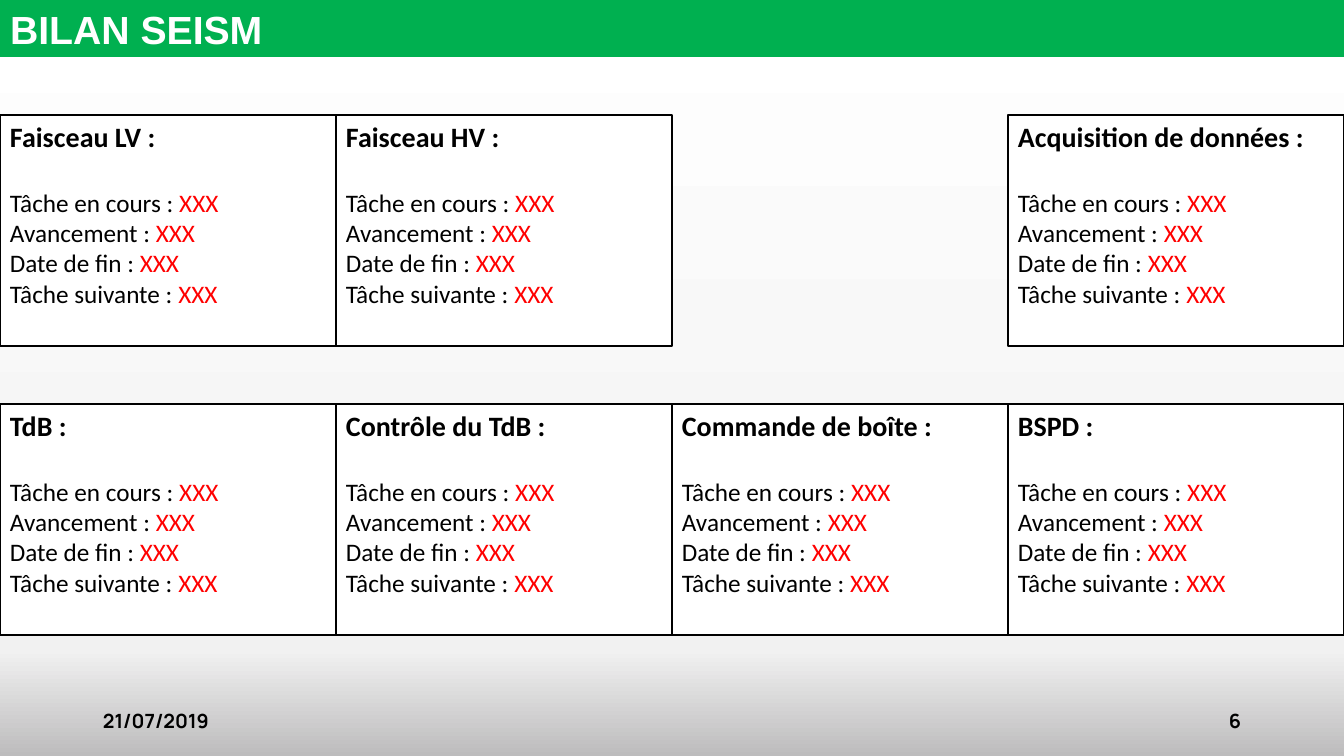
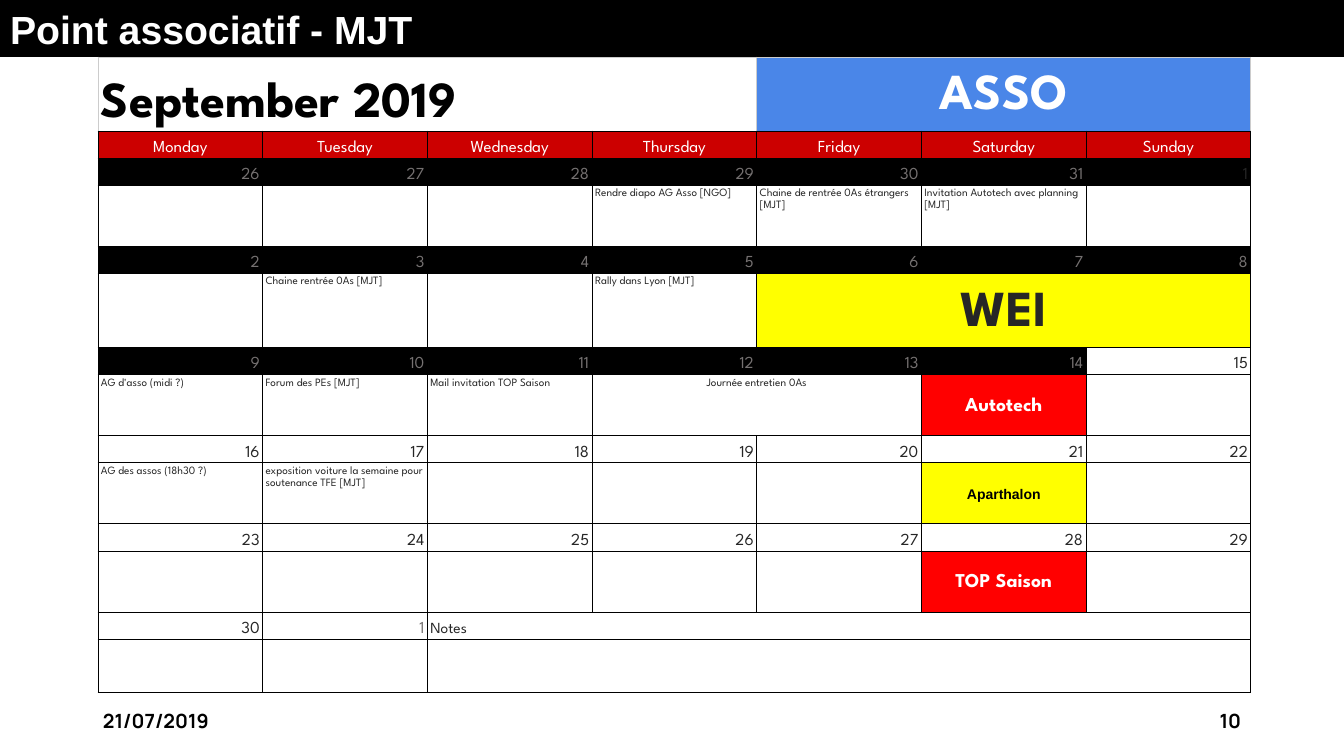
"""Build the project status slide and the association calendar slide."""
import copy

import pptx
import pptx.dml.color
import pptx.enum.shapes
import pptx.enum.text
import pptx.oxml
import pptx.oxml.ns
import pptx.util

SCALE = 914400 / 100.8
WIDE, HIGH = 1344, 756
HUES = {
    "black": "000000", "white": "FFFFFF", "red": "FF0000", "green": "00B050",
    "blue": "4A86E8", "yellow": "FFFF00", "brick": "CC0000", "gray": "757171",
    "ink": "262626", "rule": "CCCCCC", "mist": "F1F1F1", "steel": "BDBCBD",
}
ALIGN = {
    "left": pptx.enum.text.PP_ALIGN.LEFT,
    "center": pptx.enum.text.PP_ALIGN.CENTER,
    "right": pptx.enum.text.PP_ALIGN.RIGHT,
}
ANCHOR = {
    "top": pptx.enum.text.MSO_ANCHOR.TOP,
    "middle": pptx.enum.text.MSO_ANCHOR.MIDDLE,
    "bottom": pptx.enum.text.MSO_ANCHOR.BOTTOM,
}
TASKS = ("Tâche en cours : ", "Avancement : ", "Date de fin : ", "Tâche suivante : ")
CARDS = (
    ("Faisceau LV :", "Faisceau HV :", None, "Acquisition de données :"),
    ("TdB :", "Contrôle du TdB :", "Commande de boîte :", "BSPD :"),
)
DAYS = ("Monday", "Tuesday", "Wednesday", "Thursday", "Friday", "Saturday", "Sunday")
ROWS = (74, 27, 27, 61, 27, 74, 27, 61, 27, 61, 27, 61, 27, 53)
SPANS = {(0, 0): 4, (0, 4): 3, (5, 4): 3, (7, 3): 2, (12, 2): 5, (13, 2): 5}
NOTES = {
    (3, 3): "Rendre diapo AG Asso [NGO]",
    (3, 4): "Chaine de rentrée 0As étrangers [MJT]",
    (3, 5): "Invitation Autotech avec planning [MJT]",
    (5, 1): "Chaine rentrée 0As [MJT]",
    (5, 3): "Rally dans Lyon [MJT]",
    (7, 0): "AG d'asso (midi ?)",
    (7, 1): "Forum des PEs [MJT]",
    (7, 2): "Mail invitation TOP Saison",
    (9, 0): "AG des assos (18h30 ?)",
    (9, 1): "exposition voiture la semaine pour soutenance TFE [MJT]",
}
EVENTS = {
    (0, 4): ("ASSO", "blue", {"size": 36, "hue": "white"}),
    (5, 4): ("WEI", "yellow", {"size": 36, "hue": "ink"}),
    (7, 5): ("Autotech", "red", {"size": 14, "hue": "white"}),
    (9, 5): ("Aparthalon", "yellow", {"size": 10, "hue": "black", "font": "Arial"}),
    (11, 5): ("TOP Saison", "red", {"size": 14, "hue": "white"}),
}


def px(count):
    """Turn pixels into EMU."""
    return pptx.util.Emu(round(count * SCALE))


def tint(name):
    """Return a named colour."""
    return pptx.dml.color.RGBColor.from_string(HUES[name])


def paint(item, name):
    """Fill an item with a named colour."""
    item.fill.solid()
    item.fill.fore_color.rgb = tint(name)


def write(para, text, font="League Spartan", size=12, hue="black", bold=False,
          align="left", lead=None):
    """Add a formatted run to a paragraph."""
    para.alignment = ALIGN[align]
    if lead:
        para.line_spacing = lead
    run = para.add_run()
    run.text = text
    run.font.name = font
    run.font.size = pptx.util.Pt(size)
    run.font.bold = bold
    run.font.color.rgb = tint(hue)


def label(slide, left, text, align):
    """Add one footer text box."""
    box = slide.shapes.add_textbox(px(left), px(701), px(302), px(40))
    frame = box.text_frame
    frame.word_wrap = True
    frame.vertical_anchor = ANCHOR["middle"]
    write(frame.paragraphs[0], text, font="Manrope", size=14, bold=True, align=align)


def start(deck, title, band, page):
    """Add a slide with its title band and footer."""
    slide = deck.slides.add_slide(deck.slide_layouts[5])
    head = slide.shapes.title
    head.left, head.top, head.width, head.height = px(0), px(0), px(WIDE), px(57)
    paint(head, band)
    frame = head.text_frame
    frame.auto_size = pptx.enum.text.MSO_AUTO_SIZE.NONE
    frame.vertical_anchor = ANCHOR["top"]
    write(frame.paragraphs[0], title, font="Arial", size=28, hue="white", bold=True)
    label(slide, 93, "21/07/2019", "left")
    label(slide, 949, page, "right")
    return slide


def fade(slide):
    """Give the slide a vertical gradient background."""
    fill = slide.background.fill
    fill.gradient()
    fill.gradient_angle = 270
    stops = slide.element.find(".//" + pptx.oxml.ns.qn("a:gsLst"))
    stops.append(copy.deepcopy(stops[-1]))
    shades = (("white", 0), ("mist", 0.86), ("steel", 1))
    for stop, (hue, place) in zip(fill.gradient_stops, shades):
        stop.color.rgb = tint(hue)
        stop.position = place


def card(slide, left, top, name):
    """Add one status card."""
    kind = pptx.enum.shapes.MSO_SHAPE.RECTANGLE
    box = slide.shapes.add_shape(kind, px(left), px(top), px(WIDE // 4), px(231))
    box.shadow.inherit = False
    paint(box, "white")
    box.line.color.rgb = tint("black")
    box.line.width = pptx.util.Pt(2)
    frame = box.text_frame
    frame.word_wrap = True
    frame.vertical_anchor = ANCHOR["top"]
    write(frame.paragraphs[0], name, font="Calibri", size=20, bold=True)
    for task in TASKS:
        para = frame.add_paragraph()
        if task == TASKS[0]:
            para.space_before = pptx.util.Pt(24)
        write(para, task, font="Calibri", size=18)
        write(para, "XXX", font="Calibri", size=18, hue="red")


def edge(cell, hues):
    """Draw the left, right, top and bottom borders of a cell."""
    props = cell._tc.get_or_add_tcPr()
    for spot, (side, hue) in enumerate(zip("LRTB", hues)):
        line = pptx.oxml.parse_xml(
            f'<a:ln{side} {pptx.oxml.ns.nsdecls("a")} w="9525"><a:solidFill>'
            f'<a:srgbClr val="{HUES[hue]}"/></a:solidFill></a:ln{side}>')
        props.insert(spot, line)


def grid(slide):
    """Add the empty calendar table."""
    width = px(1153)
    frame = slide.shapes.add_table(len(ROWS), len(DAYS), px(98), px(57), width, px(sum(ROWS)))
    table = frame.table
    table.first_row = table.horz_banding = False
    for col in table.columns:
        col.width = width // len(DAYS)
    for num, high in enumerate(ROWS):
        table.rows[num].height = px(high)
        for cell in table.rows[num].cells:
            cell.margin_left = cell.margin_right = px(3)
            cell.margin_top = cell.margin_bottom = px(2)
            cell.fill.background()
            edge(cell, ["black"] * 4 if num else ["rule"] * 3 + ["black"])
            end = cell.text_frame.paragraphs[0]._p.get_or_add_endParaRPr()
            end.set("sz", "800")
    for (row, col), span in SPANS.items():
        table.cell(row, col).merge(table.cell(row, col + span - 1))
    return table


def put(table, spot, text, fill=None, anchor="bottom", **style):
    """Write text in a calendar cell."""
    cell = table.cell(*spot)
    cell.vertical_anchor = ANCHOR[anchor]
    if fill:
        paint(cell, fill)
    write(cell.text_frame.paragraphs[0], text, lead=1.15, **style)


def dates(table):
    """Number the days and darken those already past."""
    for step in range(37):
        week, col = divmod(step, 7)
        day = step - 5
        past = day < 15
        text = (day - 1) % 30 + 1 if day > 0 else day + 31
        hue = "gray" if (past and day != 1) or day > 30 else "ink"
        put(table, (2 + 2 * week, col), str(text), fill="black" if past else None,
            hue=hue, align="right")


def month(slide):
    """Fill the calendar."""
    table = grid(slide)
    put(table, (0, 0), "September 2019", size=36, bold=True)
    for col, day in enumerate(DAYS):
        put(table, (1, col), day, fill="brick", hue="white", align="center")
    dates(table)
    for spot, text in NOTES.items():
        put(table, spot, text, anchor="top", size=8, hue="ink")
    put(table, (7, 3), "Journée entretien 0As", anchor="top", size=8, hue="ink",
        align="center")
    for spot, (text, fill, style) in EVENTS.items():
        put(table, spot, text, fill=fill, anchor="middle", bold=True, align="center", **style)
    put(table, (12, 2), "Notes", size=11, hue="ink")


def main():
    """Build and save the deck."""
    deck = pptx.Presentation()
    deck.slide_width, deck.slide_height = px(WIDE), px(HIGH)
    status = start(deck, "BILAN SEISM", "green", "6")
    fade(status)
    for row, names in enumerate(CARDS):
        for col, name in enumerate(names):
            if name:
                card(status, col * WIDE // 4, 115 + row * 289, name)
    month(start(deck, "Point associatif - MJT", "black", "10"))
    deck.save("out.pptx")


if __name__ == "__main__":
    main()
